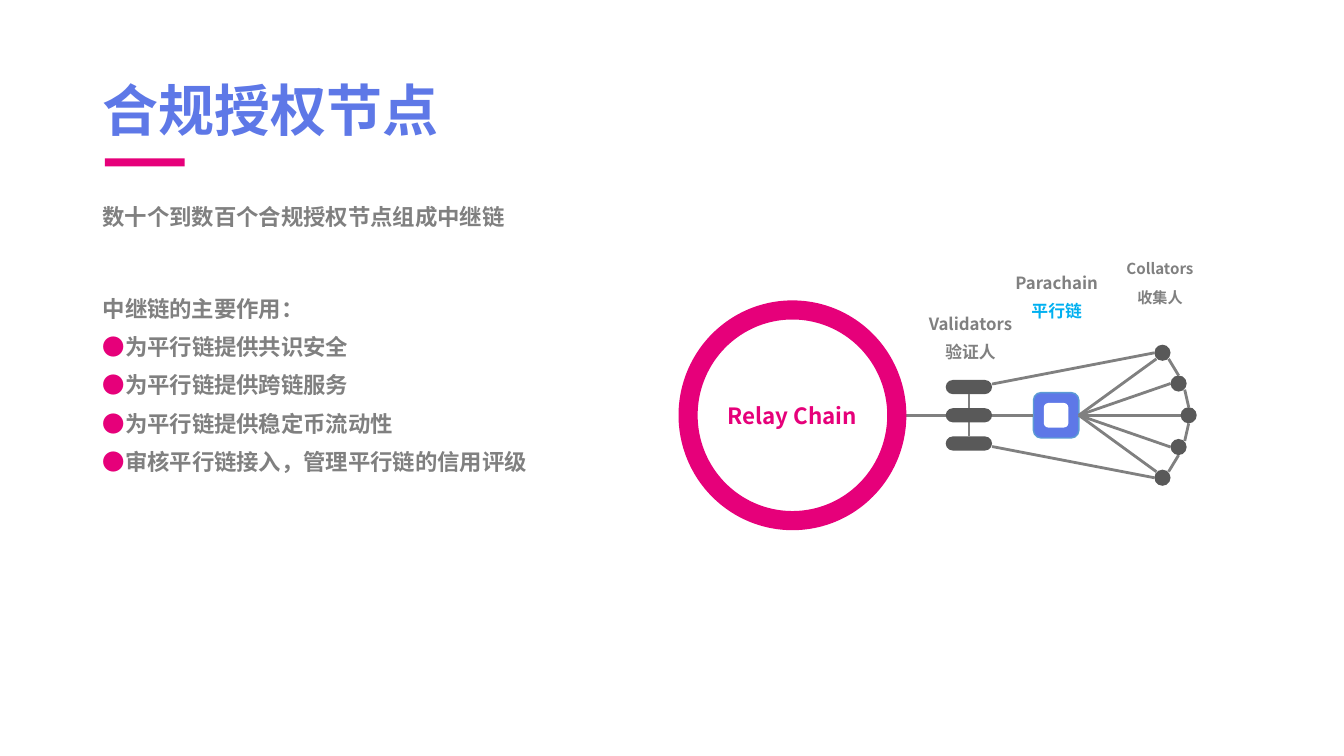
"""Builds the slide on compliant authorised nodes and the relay chain."""
from dataclasses import dataclass
from itertools import pairwise

from lxml import etree
from pptx import Presentation
from pptx.dml.color import RGBColor
from pptx.enum.shapes import MSO_CONNECTOR, MSO_SHAPE
from pptx.enum.text import MSO_ANCHOR, MSO_AUTO_SIZE, PP_ALIGN
from pptx.oxml.ns import qn
from pptx.util import Inches, Pt

STRAIGHT = MSO_CONNECTOR.STRAIGHT
RECT, ROUND, OVAL, DONUT = (MSO_SHAPE.RECTANGLE, MSO_SHAPE.ROUNDED_RECTANGLE,
                            MSO_SHAPE.OVAL, MSO_SHAPE.DONUT)
LEFT, CENTER = PP_ALIGN.LEFT, PP_ALIGN.CENTER
MIDDLE, TOP = MSO_ANCHOR.MIDDLE, MSO_ANCHOR.TOP
SIDE_TOP, SIDE_LEFT, SIDE_BOTTOM, SIDE_RIGHT = range(4)

COLS, ROWS = 133.3, 75
AXIS = 41.2
DOT_R = 0.8
RIM = 0.6


@dataclass(frozen=True)
class Theme:
    font: str = "Noto Sans CJK SC"
    pink: str = "E6007A"
    blue: str = "5E78E7"
    edge: str = "5B9BD5"
    sky: str = "00B0F0"
    gray: str = "808080"
    dark: str = "595959"
    white: str = "FFFFFF"
    title: float = 40
    body: float = 16
    label: float = 12
    small: float = 10.8
    stroke: float = 2


@dataclass(frozen=True)
class Box:
    x: float
    y: float
    w: float
    h: float


@dataclass(frozen=True)
class Label:
    box: Box
    lines: tuple
    size: float
    spacing: float


@dataclass(frozen=True)
class Dot:
    x: float
    y: float


T = Theme()
VALIDATORS = [Box(93.8, AXIS + dy - 0.7, 4.6, 1.4) for dy in (-2.8, 0, 2.8)]
COLLATORS = [Dot(x, AXIS + dy) for x, dy in (
    (115.3, -6.2), (116.9, -3.15), (117.9, 0), (116.9, 3.15), (115.3, 6.2))]
LABELS = (
    Label(Box(69.3, 38.3, 18.6, 5.6), (("Relay Chain", T.pink),), T.body, 1.4),
    Label(Box(88.7, 31.2, 15.1, 6),
          (("Validators", T.gray), ("验证人", T.gray)), T.label, 0.7),
    Label(Box(99.7, 27.1, 10.2, 5.9),
          (("Parachain", T.gray), ("平行链", T.sky)), T.label, 0.7),
    Label(Box(108.4, 25.6, 13.3, 5.9),
          (("Collators", T.gray), ("收集人", T.gray)), T.small, 0.8),
)
ROLES = ("为平行链提供共识安全", "为平行链提供跨链服务", "为平行链提供稳定币流动性",
         "审核平行链接入，管理平行链的信用评级")


def grid(n: float) -> int:
    """Turn grid cells into a slide length."""
    return Inches(n / 10)


def place(box: Box) -> tuple:
    """Give a box as left, top, width and height."""
    return tuple(grid(n) for n in (box.x, box.y, box.w, box.h))


def write(p, text: str, *, size: float = T.body, color: str = T.gray,
          align=LEFT, spacing: float = 0.9, before: float = 10) -> None:
    """Add a bold run to a paragraph and set the paragraph's format."""
    p.alignment, p.line_spacing, p.space_before = align, spacing, Pt(before)
    r = p.add_run()
    r.text = text
    r.font.name, r.font.size, r.font.bold = T.font, Pt(size), True
    r.font.color.rgb = RGBColor.from_string(color)
    etree.SubElement(r.font._element, qn("a:ea"), typeface=T.font)


def add_frame(s, box: Box):
    """Add a wrapping text box and return its text frame."""
    tf = s.shapes.add_textbox(*place(box)).text_frame
    tf.word_wrap, tf.vertical_anchor = True, TOP
    return tf


def add_shape(s, kind, box: Box, fill: str, line: str | None = None,
              adj: float | None = None):
    """Add a flat filled preset shape."""
    sp = s.shapes.add_shape(kind, *place(box))
    sp.shadow.inherit = False
    sp.fill.solid()
    sp.fill.fore_color.rgb = RGBColor.from_string(fill)
    if line:
        sp.line.color.rgb = RGBColor.from_string(line)
        sp.line.width = Pt(1)
    else:
        sp.line.fill.background()
    if adj is not None:
        sp.adjustments[0] = adj
    return sp


def add_line(s, x1: float, y1: float, x2: float, y2: float):
    """Add a plain gray connector between two grid points."""
    c = s.shapes.add_connector(STRAIGHT, *(grid(n) for n in (x1, y1, x2, y2)))
    c.line.color.rgb = RGBColor.from_string(T.gray)
    c.line.width = Pt(T.stroke)
    etree.SubElement(c._element.spPr, qn("a:effectLst"))
    return c


def add_pill(s, box: Box):
    """Add one validator."""
    return add_shape(s, ROUND, box, T.dark, adj=0.5)


def draw_text(s) -> None:
    """Draw the title, its rule, the introduction and the list of roles."""
    title = s.shapes.title
    title.left, title.top, title.width, title.height = place(Box(9.2, 4, 115, 14.5))
    tf = title.text_frame
    tf.auto_size, tf.vertical_anchor = MSO_AUTO_SIZE.NONE, MIDDLE
    write(tf.paragraphs[0], "合规授权节点", size=T.title, color=T.blue, before=0)
    add_shape(s, RECT, Box(10.4, 15.7, 7.9, 0.8), T.pink)
    intro = add_frame(s, Box(9.2, 20, 51.7, 6.1))
    write(intro.paragraphs[0], "数十个到数百个合规授权节点组成中继链")
    tf = add_frame(s, Box(9.2, 29.1, 55.1, 25.7))
    write(tf.paragraphs[0], "中继链的主要作用：")
    for role in ROLES:
        p = tf.add_paragraph()
        write(p, "●", color=T.pink)
        write(p, role)


def draw_network(s) -> None:
    """Draw the relay chain, validators, parachain and collators."""
    parachain = add_shape(s, ROUND, Box(102.5, AXIS - 2.25, 4.5, 4.5), T.blue, T.edge)
    add_shape(s, ROUND, Box(103.6, AXIS - 1.15, 2.3, 2.3), T.white, T.white)
    upper, middle, lower = VALIDATORS
    top_pill, bottom_pill = add_pill(s, upper), add_pill(s, lower)

    stem = add_line(s, 96.1, 39.1, 96.1, 43.3)
    stem.begin_connect(top_pill, SIDE_BOTTOM)
    stem.end_connect(bottom_pill, SIDE_TOP)
    add_line(s, 89.9, AXIS, 102.5, AXIS).end_connect(parachain, SIDE_LEFT)

    for dot, side in ((COLLATORS[0], -1), (COLLATORS[-1], 1)):
        add_line(s, 98.4, AXIS + side * 3.1, dot.x - DOT_R, dot.y)
    for dot in COLLATORS:
        end = {COLLATORS[0]: (-RIM, RIM),
               COLLATORS[-1]: (-RIM, -RIM)}.get(dot, (-DOT_R, 0))
        spoke = add_line(s, 107, AXIS, dot.x + end[0], dot.y + end[1])
        spoke.begin_connect(parachain, SIDE_RIGHT)
    for a, b in pairwise(COLLATORS):
        outer, inner, way = (a, b, 1) if a.x < b.x else (b, a, -1)
        add_line(s, inner.x, inner.y - way * DOT_R,
                 outer.x + RIM, outer.y + way * RIM)

    add_shape(s, DONUT, Box(67.3, AXIS - 11.4, 22.6, 22.8), T.pink, adj=0.084)
    add_pill(s, middle)
    for dot in COLLATORS:
        add_shape(s, OVAL, Box(dot.x - DOT_R, dot.y - DOT_R, 2 * DOT_R, 2 * DOT_R), T.dark)
    for label in LABELS:
        tf = add_frame(s, label.box)
        for i, (text, color) in enumerate(label.lines):
            p = tf.add_paragraph() if i else tf.paragraphs[0]
            write(p, text, size=label.size, color=color, align=CENTER,
                  spacing=label.spacing)


def main() -> None:
    """Build and save the presentation."""
    prs = Presentation()
    prs.slide_width, prs.slide_height = grid(COLS), grid(ROWS)
    s = prs.slides.add_slide(prs.slide_layouts[5])
    draw_text(s)
    draw_network(s)
    prs.save("out.pptx")


if __name__ == "__main__":
    main()
